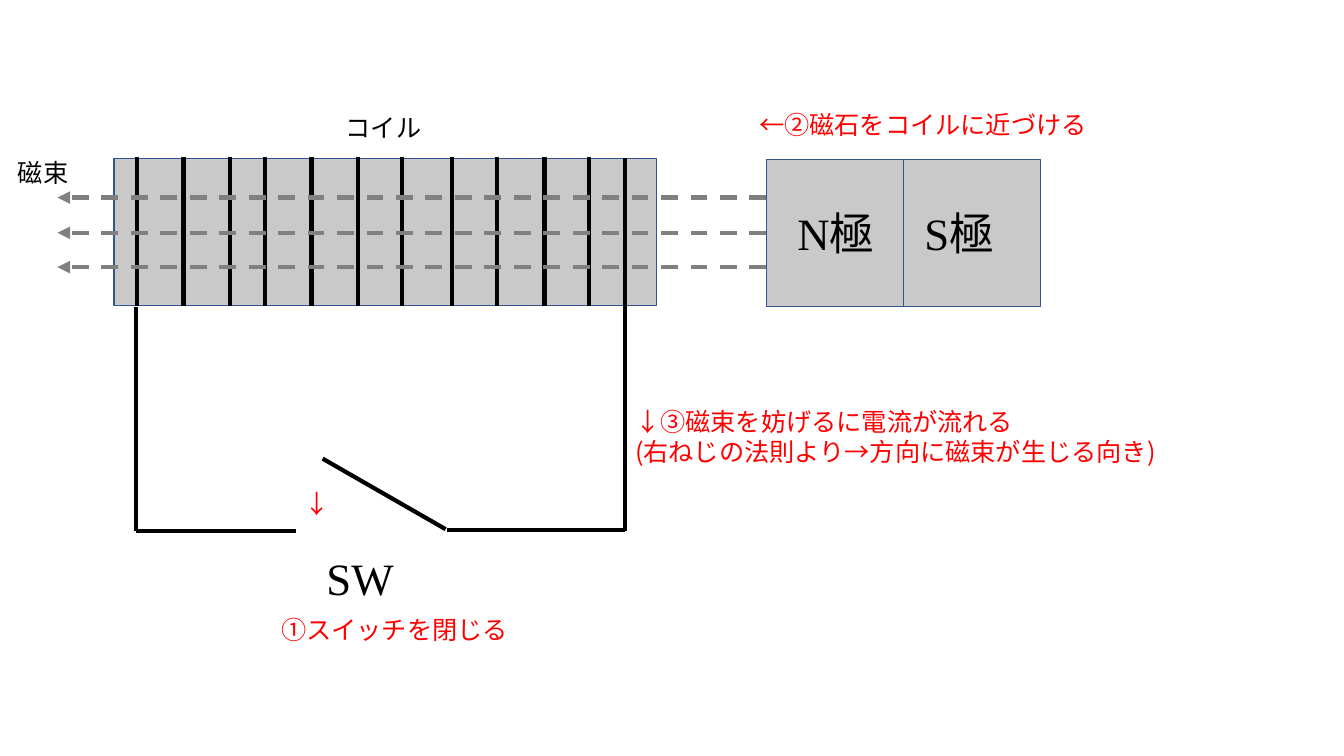
"""Draw a coil, switch and magnet diagram of electromagnetic induction."""
from lxml import etree
from pptx import Presentation
from pptx.dml.color import RGBColor
from pptx.enum.dml import MSO_LINE
from pptx.enum.shapes import MSO_CONNECTOR, MSO_SHAPE
from pptx.oxml.ns import qn
from pptx.util import Inches, Pt

BLACK = RGBColor(0x00, 0x00, 0x00)
RED = RGBColor(0xFF, 0x00, 0x00)
GRAY = RGBColor(0x80, 0x80, 0x80)
SILVER = RGBColor(0xC9, 0xC9, 0xC9)
BLUE = RGBColor(0x32, 0x54, 0x91)
SERIF = "Times New Roman"
SANS = "Noto Sans CJK JP"
RECT = MSO_SHAPE.RECTANGLE
STRAIGHT = MSO_CONNECTOR.STRAIGHT
DASH = MSO_LINE.DASH

TURNS = (1.36, 1.82, 2.28, 2.63, 3.09, 3.55, 3.99, 4.48, 4.93, 5.4, 5.84)
FLUX = (1.96, 2.31, 2.65)
WIRES = (
    (4.42, 5.25, 3.2, 4.55),
    (1.35, 5.27, 1.35, 3.05),
    (4.43, 5.26, 6.2, 5.26),
    (1.35, 5.27, 2.94, 5.27),
    (6.2, 5.27, 6.2, 1.57),
)
SYMBOLS = (("SW", 3.14, 5.41), ("N極", 7.81, 1.99), ("S極", 9.07, 1.99))
LABELS = (
    ("磁束", 0.08, 1.51, 0.71, BLACK),
    ("コイル", 3.33, 1.07, 0.96, BLACK),
    ("←②磁石をコイルに近づける", 7.43, 1.04, 3.48, RED),
    ("①スイッチを閉じる", 2.69, 6.05, 2.47, RED),
    ("↓", 2.92, 4.8, 0.45, RED),
)
CURRENT_NOTE = ("↓③磁束を妨げるに電流が流れる",
                "(右ねじの法則より→方向に磁束が生じる向き)")


def add_block(slide, x, y, w, h):
    sp = slide.shapes.add_shape(RECT, Inches(x), Inches(y), Inches(w), Inches(h))
    sp.shadow.inherit = False
    sp.fill.solid()
    sp.fill.fore_color.rgb = SILVER
    sp.line.color.rgb = BLUE
    sp.line.width = Pt(1)


def add_line(slide, x1, y1, x2, y2, color=BLACK):
    cxn = slide.shapes.add_connector(
        STRAIGHT, Inches(x1), Inches(y1), Inches(x2), Inches(y2))
    cxn.line.color.rgb = color
    cxn.line.width = Pt(3)
    etree.SubElement(cxn.element.spPr, qn("a:effectLst"))
    return cxn


def add_flux(slide, y):
    cxn = add_line(slide, 7.6, y, 0.57, y, GRAY)
    cxn.line.dash_style = DASH
    ln = cxn.element.spPr.find(qn("a:ln"))
    etree.SubElement(ln, qn("a:tailEnd"), type="triangle")


def add_text(slide, lines, x, y, w, h, size=18, font=SANS, color=BLACK, wrap=True):
    tf = slide.shapes.add_textbox(
        Inches(x), Inches(y), Inches(w), Inches(h)).text_frame
    tf.word_wrap = wrap
    for i, line in enumerate(lines):
        p = tf.add_paragraph() if i else tf.paragraphs[0]
        p.line_spacing = Pt(size * 1.2)
        r = p.add_run()
        r.text = line
        r.font.size = Pt(size)
        r.font.name = font
        r.font.color.rgb = color
        latin = r.font._element.find(qn("a:latin"))
        latin.addnext(latin.makeelement(qn("a:ea"), {"typeface": SANS}))


def main():
    prs = Presentation()
    prs.slide_width = Inches(13.33)
    prs.slide_height = Inches(7.5)
    slide = prs.slides.add_slide(prs.slide_layouts[6])

    add_block(slide, 1.13, 1.57, 5.38, 1.46)
    for wire in WIRES:
        add_line(slide, *wire)
    for x in TURNS:
        add_line(slide, x, 3.04, x, 1.56)
    for x in (7.6, 8.96):
        add_block(slide, x, 1.58, 1.36, 1.46)
    for y in FLUX:
        add_flux(slide, y)

    for text, x, y in SYMBOLS:
        add_text(slide, [text], x, y, 1.34, 0.64, 32, SERIF)
    for text, x, y, w, color in LABELS:
        add_text(slide, [text], x, y, w, 0.4, color=color, wrap=False)
    add_text(slide, CURRENT_NOTE, 6.2, 3.98, 5.45, 0.71, color=RED)

    prs.save("out.pptx")


main()
